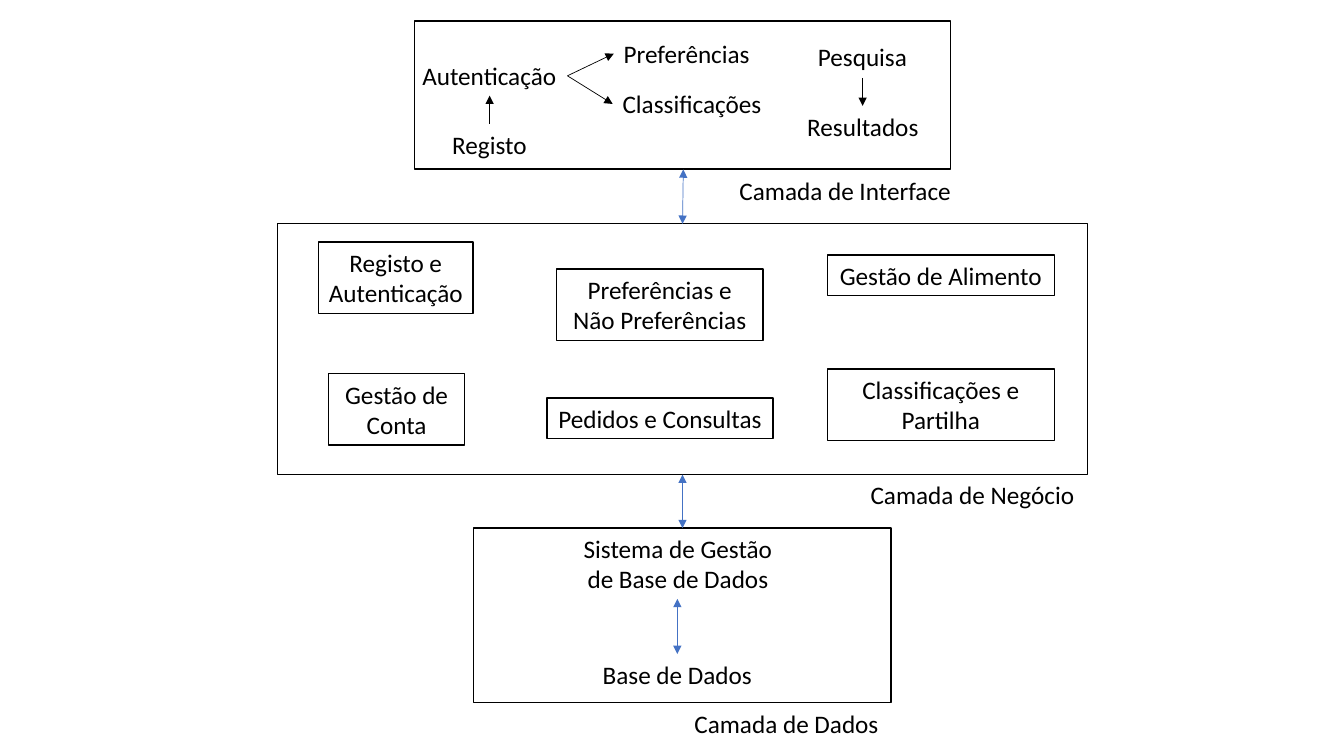
from pptx import Presentation
from pptx.dml.color import RGBColor
from pptx.enum.shapes import MSO_CONNECTOR, MSO_SHAPE
from pptx.enum.text import MSO_AUTO_SIZE, PP_ALIGN
from pptx.oxml.ns import qn
from pptx.util import Cm, Pt
from lxml.etree import SubElement

BLACK, WHITE, BLUE = "000000", "FFFFFF", "4472C4"
ONE_LINE, TWO_LINES = 1.02, 1.8  # heights of text boxes in cm

# left, top, width, height
LAYERS = [
    (10.44, 0.53, 13.51, 3.73),
    (6.99, 5.64, 20.42, 6.32),
    (11.94, 13.31, 10.52, 4.39),
]

# text, left, top, width
SCREENS = [
    ("Registo", 11.13, 3.12, 2.41),
    ("Autenticação", 10.36, 1.4, 3.94),
    ("Resultados", 20.07, 2.67, 3.35),
    ("Pesquisa", 20.35, 0.91, 2.77),
]

# text, left, top, width, height
MODULES = [
    ("Registo e Autenticação", 8.03, 6.1, 3.89, TWO_LINES),
    ("Gestão de Conta", 8.28, 9.42, 3.43, TWO_LINES),
    ("Preferências e Não Preferências", 14.02, 6.78, 5.21, TWO_LINES),
    ("Pedidos e Consultas", 13.79, 10.03, 5.69, ONE_LINE),
    ("Gestão de Alimento", 20.85, 6.43, 5.72, ONE_LINE),
    ("Classificações e Partilha", 20.85, 9.3, 5.72, TWO_LINES),
]

# text, left, top, width, height, alignment
LABELS = [
    ("Preferências", 15.47, 0.84, 3.71, ONE_LINE, PP_ALIGN.LEFT),
    ("Classificações", 15.44, 2.11, 4.04, ONE_LINE, PP_ALIGN.LEFT),
    ("Camada de Interface", 18.34, 4.29, 5.92, ONE_LINE, PP_ALIGN.CENTER),
    ("Camada de Negócio", 21.69, 11.96, 5.72, ONE_LINE, PP_ALIGN.LEFT),
    ("Sistema de Gestão de Base de Dados", 14.33, 13.31, 5.51, TWO_LINES,
     PP_ALIGN.CENTER),
    ("Base de Dados", 14.91, 16.48, 4.32, ONE_LINE, PP_ALIGN.CENTER),
    ("Camada de Dados", 17.25, 17.73, 5.21, ONE_LINE, PP_ALIGN.LEFT),
]

# start x, start y, end x, end y
SCREEN_ARROWS = [
    (12.34, 3.12, 12.34, 2.41),
    (21.74, 1.96, 21.74, 2.67),
    (14.3, 1.91, 15.47, 1.35),
    (14.3, 1.91, 15.44, 2.62),
]
LAYER_ARROWS = [
    (17.22, 4.27, 17.2, 5.64),
    (17.2, 11.96, 17.2, 13.31),
    (17.07, 15.09, 17.07, 16.48),
]


def rgb(value):
    """Turn a hex string into a colour."""
    return RGBColor.from_string(value)


def write(s, text, height, align=PP_ALIGN.CENTER):
    """Put 18 pt text in a shape, wrapped only when it takes two lines."""
    tf = s.text_frame
    tf.text = text
    tf.word_wrap = height == TWO_LINES
    tf.auto_size = MSO_AUTO_SIZE.SHAPE_TO_FIT_TEXT
    p = tf.paragraphs[0]
    p.alignment = align
    font = p.runs[0].font
    font.name, font.size = "Calibri", Pt(18)
    font.color.rgb = rgb(BLACK)


def add_box(slide, left, top, width, height, fill=None, line=None):
    """Add a rectangle with optional fill and outline colours."""
    s = slide.shapes.add_shape(MSO_SHAPE.RECTANGLE, Cm(left), Cm(top),
                               Cm(width), Cm(height))
    s.shadow.inherit = False
    if fill:
        s.fill.solid()
        s.fill.fore_color.rgb = rgb(fill)
    else:
        s.fill.background()
    if line:
        s.line.color.rgb = rgb(line)
        s.line.width = Pt(1)
    else:
        s.line.fill.background()
    return s


def add_label(slide, text, left, top, width, height, align):
    """Add a plain text box."""
    s = slide.shapes.add_textbox(Cm(left), Cm(top), Cm(width), Cm(height))
    write(s, text, height, align)


def add_arrow(slide, points, color, ends):
    """Add a thin straight arrow with heads at the given ends."""
    s = slide.shapes.add_connector(MSO_CONNECTOR.STRAIGHT,
                                   *[Cm(v) for v in points])
    s.line.color.rgb = rgb(color)
    s.line.width = Pt(0.5)
    ln = s.line._get_or_add_ln()
    for end in ends:
        SubElement(ln, qn(f"a:{end}"), type="triangle")
    SubElement(s._element.spPr, qn("a:effectLst"))


def main():
    """Build the layered architecture slide."""
    prs = Presentation()
    prs.slide_width, prs.slide_height = Cm(33.87), Cm(19.05)
    slide = prs.slides.add_slide(prs.slide_layouts[6])

    for text, *place in SCREENS:
        write(add_box(slide, *place, ONE_LINE, WHITE), text, ONE_LINE)
    for layer in LAYERS:
        add_box(slide, *layer, line=BLACK)
    for text, *place, height in MODULES:
        write(add_box(slide, *place, height, WHITE, BLACK), text, height)
    for label in LABELS:
        add_label(slide, *label)
    for points in SCREEN_ARROWS:
        add_arrow(slide, points, BLACK, ["tailEnd"])
    for points in LAYER_ARROWS:
        add_arrow(slide, points, BLUE, ["headEnd", "tailEnd"])

    prs.save("out.pptx")


main()
